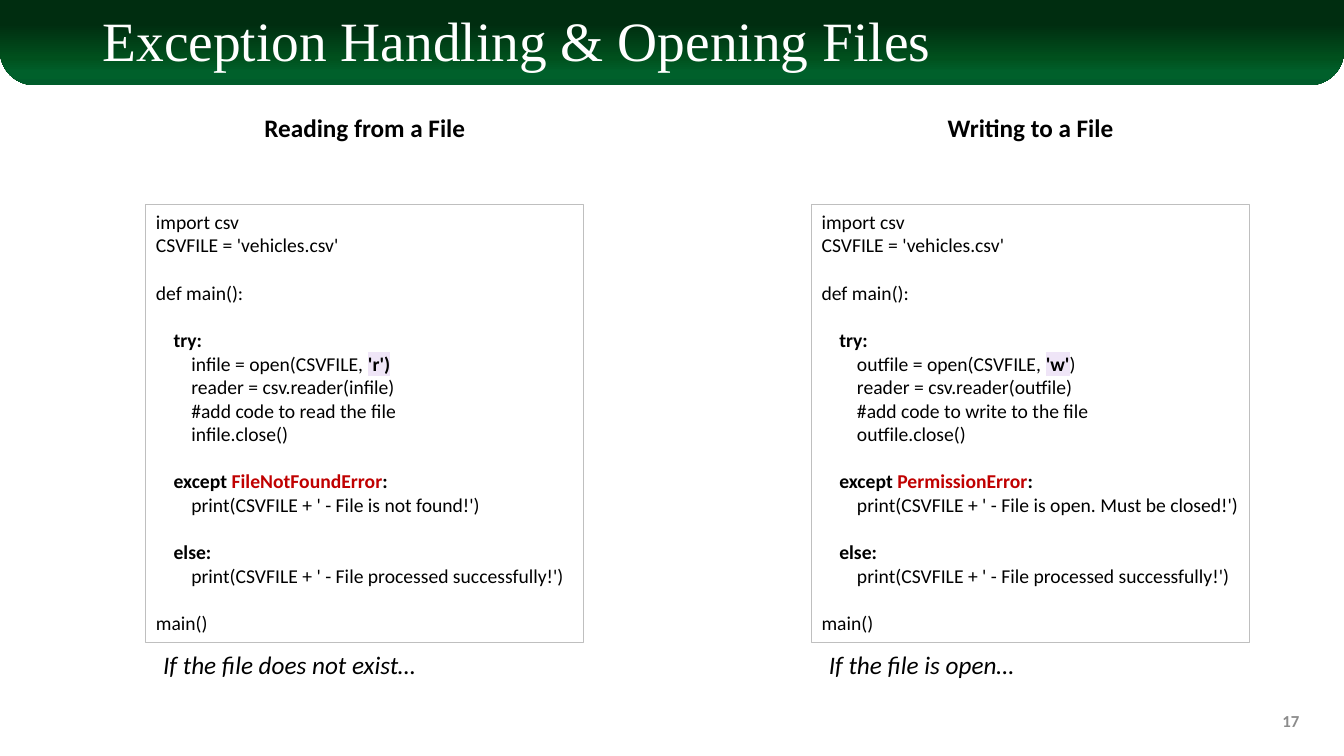
from lxml import etree
from pptx import Presentation
from pptx.dml.color import RGBColor
from pptx.enum.shapes import MSO_SHAPE
from pptx.enum.text import MSO_ANCHOR, MSO_AUTO_SIZE, PP_ALIGN
from pptx.oxml.ns import qn
from pptx.util import Pt

PX = 9525
LEFT, CENTER, RIGHT = PP_ALIGN.LEFT, PP_ALIGN.CENTER, PP_ALIGN.RIGHT
TOP, MIDDLE = MSO_ANCHOR.TOP, MSO_ANCHOR.MIDDLE
NO_FIT = MSO_AUTO_SIZE.NONE
RECTANGLE, ROUNDED_BAND = MSO_SHAPE.RECTANGLE, MSO_SHAPE.ROUND_2_SAME_RECTANGLE

WHITE = RGBColor(0xFF, 0xFF, 0xFF)
BLACK = RGBColor(0, 0, 0)
RED = RGBColor(0xC0, 0, 0)
GREY = RGBColor(0x8C, 0x8C, 0x8C)
BORDER = RGBColor(0xBF, 0xBF, 0xBF)
LILAC = RGBColor(0xEF, 0xE5, 0xF7)
BAND_STOPS = (
    (0, RGBColor(0, 0x2D, 0x10)),
    (28, RGBColor(0, 0x2D, 0x10)),
    (68, RGBColor(0, 0x50, 0x1D)),
    (85, RGBColor(0, 0x60, 0x2B)),
    (100, RGBColor(0, 0x5C, 0x2B)),
)

PLAIN, BOLD, ERROR, MODE = range(4)
CODE_SIZE, BLANK_LINE = 14, 17


def box(left, top, width, height):
    """Turn a box in px into EMU."""
    return [length * PX for length in (left, top, width, height)]


def style(paragraph, size, color=BLACK, font="Calibri", bold=False, italic=False, align=LEFT):
    """Format a whole paragraph."""
    paragraph.alignment = align
    paragraph.font.size = Pt(size)
    paragraph.font.name = font
    paragraph.font.color.rgb = color
    paragraph.font.bold = bold
    paragraph.font.italic = italic


def add_label(slide, area, text, size, anchor=TOP, **look):
    """Add a one-line text box."""
    frame = slide.shapes.add_textbox(*box(*area)).text_frame
    frame.word_wrap = True
    frame.vertical_anchor = anchor
    frame.text = text
    style(frame.paragraphs[0], size, **look)


def add_header(slide, left, top, width, height, text):
    """Draw the green band and put the title on it."""
    band = slide.shapes.add_shape(ROUNDED_BAND, *box(left, top, width, height))
    band.shadow.inherit = False
    band.adjustments[0], band.adjustments[1] = 0, 0.4
    band.line.fill.background()
    band.fill.gradient()
    band.fill.gradient_angle = 270
    stops = next(band.element.iter(qn("a:gsLst")))
    for stop in list(stops):
        stops.remove(stop)
    for percent, color in BAND_STOPS:
        stop = etree.SubElement(stops, qn("a:gs"), pos=str(percent * 1000))
        etree.SubElement(stop, qn("a:srgbClr"), val=str(color))

    title = slide.shapes.title
    title.left, title.top, title.width, title.height = box(left + 88, top + 12, 1104, 59)
    slide.shapes._spTree.append(title.element)
    frame = title.text_frame
    frame.text = text
    frame.auto_size = NO_FIT
    frame.vertical_anchor = MIDDLE
    frame.paragraphs[0].line_spacing = 0.9
    style(frame.paragraphs[0], 39.6, WHITE, "Times New Roman")


def add_code_run(paragraph, text, kind):
    """Add a piece of code in the look of its kind."""
    run = paragraph.add_run()
    run.text = text
    if kind != PLAIN:
        run.font.bold = True
    if kind == ERROR:
        run.font.color.rgb = RED
    if kind == MODE:
        highlight = etree.SubElement(run.font._element, qn("a:highlight"))
        etree.SubElement(highlight, qn("a:srgbClr"), val=str(LILAC))


def code_blocks(stream, verb, mode_runs, error, message):
    """List the program as blocks of lines, each line a list of runs."""
    return [
        [[("import csv", PLAIN)], [("CSVFILE = 'vehicles.csv'", PLAIN)]],
        [[("def main():", PLAIN)]],
        [
            [("    try:", BOLD)],
            [(f"        {stream} = open(CSVFILE, ", PLAIN), *mode_runs],
            [(f"        reader = csv.reader({stream})", PLAIN)],
            [(f"        #add code to {verb} the file", PLAIN)],
            [(f"        {stream}.close()", PLAIN)],
        ],
        [
            [("    except ", BOLD), (error, ERROR), (":", BOLD)],
            [(f"        print(CSVFILE + ' - {message}')", PLAIN)],
        ],
        [
            [("    else:", BOLD)],
            [("        print(CSVFILE + ' - File processed successfully!')", PLAIN)],
        ],
        [[("main()", PLAIN)]],
    ]


def add_example(slide, left, top, width, height, heading, blocks, caption):
    """Place a heading, a framed program and a caption in one column."""
    code_top, code_size = top + 93, width
    listing = slide.shapes.add_shape(RECTANGLE, *box(left, code_top, width, code_size))
    listing.shadow.inherit = False
    listing.fill.solid()
    listing.fill.fore_color.rgb = WHITE
    listing.line.color.rgb = BORDER
    listing.line.width = Pt(0.75)
    frame = listing.text_frame
    frame.word_wrap = True
    frame.vertical_anchor = TOP
    frame.margin_right = 0
    paragraph = None
    for block in blocks:
        for number, line in enumerate(block):
            starts_block = paragraph is not None and number == 0
            paragraph = frame.add_paragraph() if paragraph is not None else frame.paragraphs[0]
            if starts_block:
                paragraph.space_before = Pt(BLANK_LINE)
            for text, kind in line:
                add_code_run(paragraph, text, kind)
            style(paragraph, CODE_SIZE)
    add_label(slide, (left, top, width, 38), heading, 18, bold=True, align=CENTER)
    add_label(slide, (left + 7, top + height - 38, width - 7, 38), caption, 18, italic=True)


def main():
    """Build the slide and save it."""
    deck = Presentation()
    deck.slide_width, deck.slide_height = 1280 * PX, 720 * PX
    slide = deck.slides.add_slide(deck.slide_layouts[5])
    add_header(slide, 0, 0, 1280, 81, "Exception Handling & Opening Files")
    reading = code_blocks(
        "infile", "read", [("'r')", MODE)], "FileNotFoundError", "File is not found!")
    writing = code_blocks(
        "outfile", "write to", [("'w'", MODE), (")", PLAIN)],
        "PermissionError", "File is open. Must be closed!")
    add_example(slide, 139, 102, 417, 550, "Reading from a File", reading,
                "If the file does not exist…")
    add_example(slide, 773, 102, 417, 550, "Writing to a File", writing,
                "If the file is open…")
    add_label(slide, (959, 667, 288, 38), "17", 12, MIDDLE, color=GREY, bold=True, align=RIGHT)
    deck.save("out.pptx")


if __name__ == "__main__":
    main()
